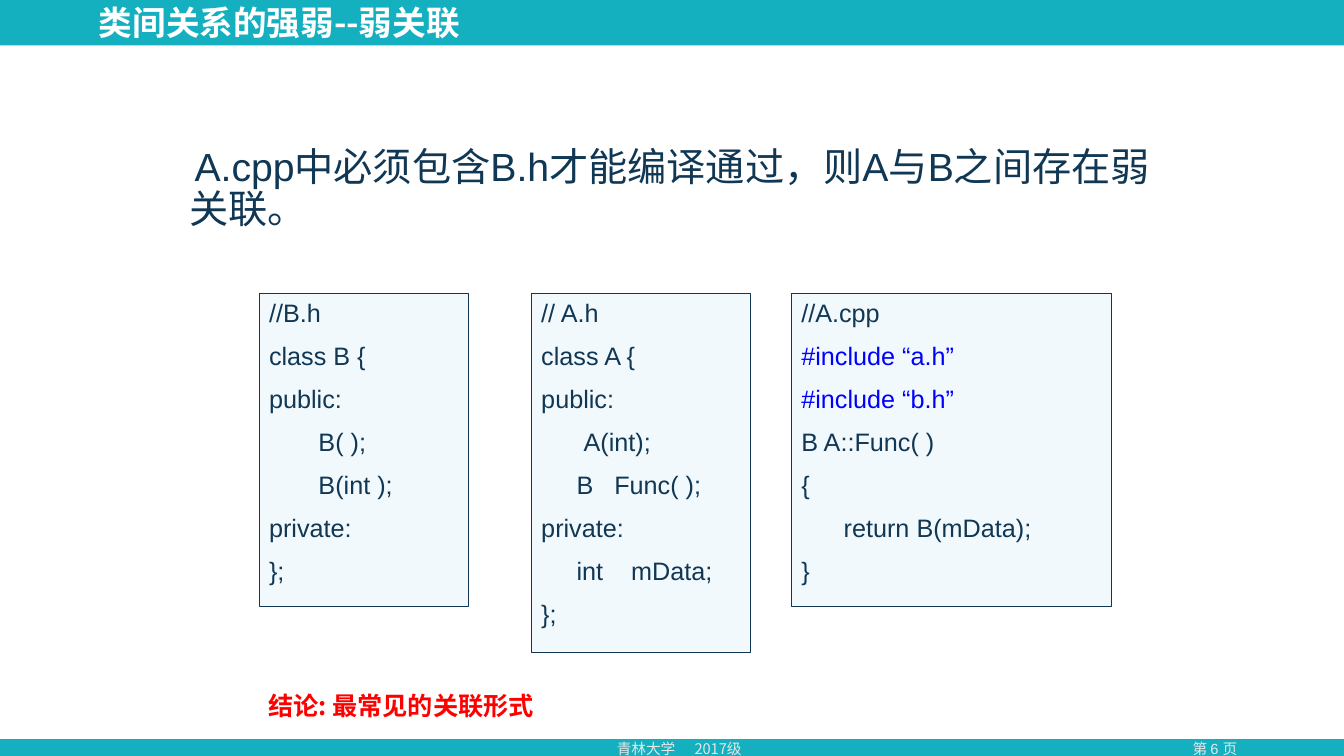
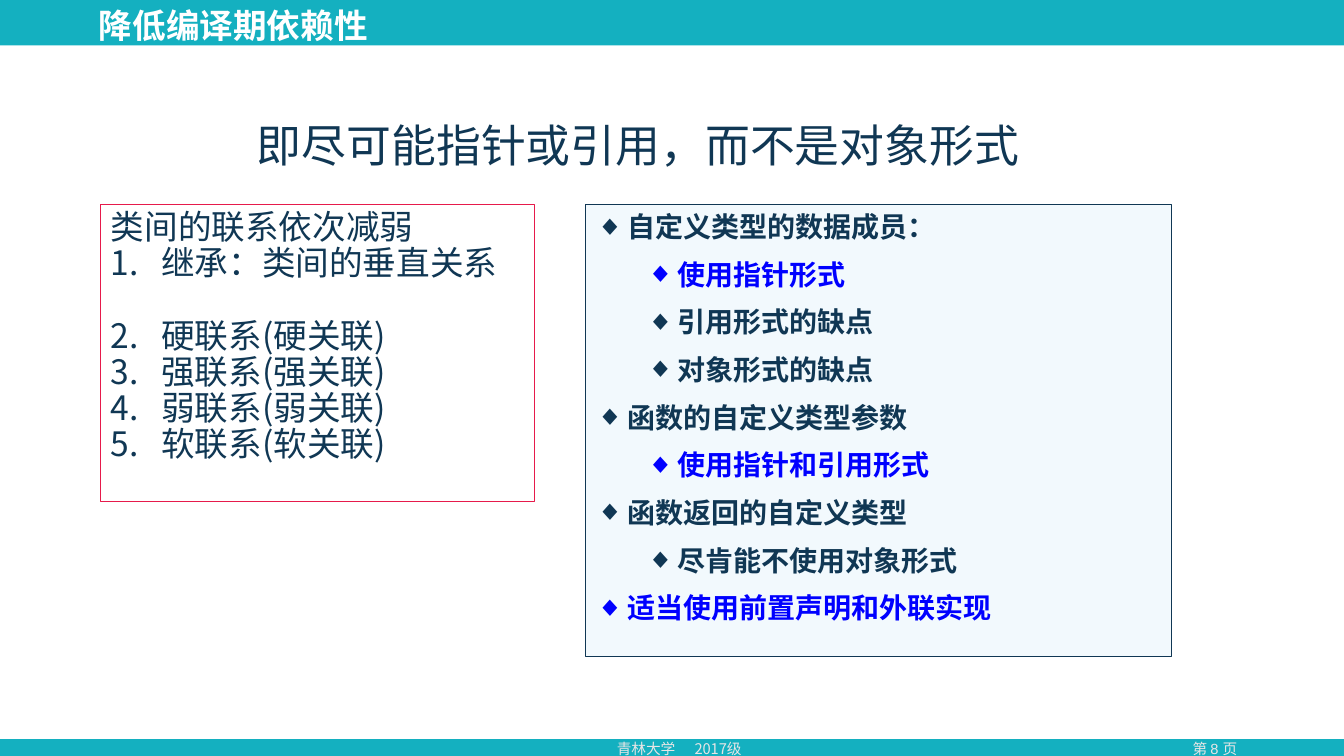
from dataclasses import dataclass

from lxml import etree
from pptx import Presentation
from pptx.dml.color import RGBColor
from pptx.enum.shapes import MSO_SHAPE
from pptx.enum.text import MSO_ANCHOR, MSO_AUTO_SIZE, PP_ALIGN
from pptx.oxml.ns import qn
from pptx.util import Inches, Pt

RECTANGLE = MSO_SHAPE.RECTANGLE
TOP, MIDDLE = MSO_ANCHOR.TOP, MSO_ANCHOR.MIDDLE
LEFT, CENTER = PP_ALIGN.LEFT, PP_ALIGN.CENTER
NO_FIT = MSO_AUTO_SIZE.NONE


@dataclass(frozen=True)
class Theme:
    teal: RGBColor = RGBColor(0x14, 0xB0, 0xC0)
    white: RGBColor = RGBColor(0xFF, 0xFF, 0xFF)
    footer: RGBColor = RGBColor(0xE7, 0xE6, 0xE6)
    ink: RGBColor = RGBColor(0x10, 0x37, 0x54)
    panel: RGBColor = RGBColor(0xF2, 0xF9, 0xFD)
    blue: RGBColor = RGBColor(0x00, 0x00, 0xFF)
    red: RGBColor = RGBColor(0xFF, 0x00, 0x00)
    crimson: RGBColor = RGBColor(0xE6, 0x1A, 0x4B)
    latin: str = "Arial"
    chinese: str = "Noto Sans CJK SC"
    footer_size: float = 10.5
    code_size: int = 18
    bullet_size: int = 20
    title_size: int = 24
    body_size: int = 28
    lead_size: int = 32
    leading: float = 1.2
    tight: float = 1.08
    border: float = 0.75


THEME = Theme()


def style_para(para, size, color, font=THEME.chinese, bold=False, leading=THEME.leading,
               before=0, margin=0, indent=0, bullet="buNone", **bullet_values):
    para.alignment = LEFT
    para.line_spacing = Pt(size * leading)
    para.space_before = Pt(before)
    properties = para._p.get_or_add_pPr()
    properties.set("marL", str(Inches(margin)))
    properties.set("indent", str(Inches(indent)))
    if bullet == "buChar":
        etree.SubElement(properties, qn("a:buFont"), typeface=THEME.latin)
    etree.SubElement(properties, qn("a:" + bullet), **bullet_values)
    for run in para.runs:
        run.font.size = Pt(size)
        run.font.bold = bold
        run.font.color.rgb = color
        run.font.name = font
        etree.SubElement(run.font._element, qn("a:ea"), typeface=THEME.chinese)


def add_label(page, text, place, size, color, **style):
    label = page.shapes.add_textbox(*map(Inches, place))
    label.text_frame.word_wrap = True
    label.text_frame.text = text
    style_para(label.text_frame.paragraphs[0], size, color, **style)
    return label


deck = Presentation()
deck.slide_width, deck.slide_height = Inches(13.33), Inches(7.5)

pages = []
for layout, title, anchor, number in [
    (1, "类间关系的强弱--弱关联", MIDDLE, 6),
    (3, "降低编译期依赖性", TOP, 8),
]:
    page = deck.slides.add_slide(deck.slide_layouts[layout])
    pages.append(page)
    box = page.shapes.title
    box.left, box.top, box.width, box.height = map(Inches, (0.88, 0.04, 7.68, 0.39))
    box.text_frame.text = title
    box.text_frame.vertical_anchor = anchor
    box.text_frame.auto_size = NO_FIT
    style_para(box.text_frame.paragraphs[0], THEME.title_size, THEME.white,
               bold=True, leading=THEME.tight)
    label = add_label(page, f"第 {number} 页", (11.32, 7.29, 1.46, 0.28),
                      THEME.footer_size, THEME.footer, font=THEME.latin)
    label.text_frame.paragraphs[0].alignment = CENTER

weak_page, dependency_page = pages

master_parts = []
for top, height, color in [(0, 7.5, THEME.teal), (0.45, 6.88, THEME.white)]:
    band = weak_page.shapes.add_shape(RECTANGLE, 0, Inches(top), deck.slide_width, Inches(height))
    band.shadow.inherit = False
    band.fill.solid()
    band.fill.fore_color.rgb = color
    band.line.fill.background()
    master_parts.append(band)
for text, left in [("青林大学", 6.02), ("2017级", 6.79)]:
    master_parts.append(add_label(weak_page, text, (left, 7.29, 1.07, 0.28),
                                  THEME.footer_size, THEME.footer))
master_tree = deck.slide_master.element.cSld.spTree
for index, part in enumerate(master_parts):
    part.element.nvSpPr.cNvPr.set("id", str(100 + index))
    master_tree.insert(2 + index, part.element)

body = weak_page.placeholders[1]
body.left, body.top, body.width, body.height = map(Inches, (1.53, 1.36, 10.27, 1.04))
body.text_frame.text = "A.cpp中必须包含B.h才能编译通过，则A与B之间存在弱关联。"
body.text_frame.auto_size = NO_FIT
body.text_frame.margin_top = Inches(0.1)
style_para(body.text_frame.paragraphs[0], THEME.body_size, THEME.ink, font=THEME.latin,
           leading=THEME.tight, margin=0.25, indent=0.05)

SPACE = 0.07
listings = [
    (2.57, 2.08, 3.11, [(0, "//B.h"), (0, "class B {"), (0, "public:"), (7, "B( );"),
                        (7, "B(int );"), (0, "private:"), (0, "};")]),
    (5.27, 2.17, 3.56, [(0, "// A.h"), (0, "class A {"), (0, "public:"), (6, "A(int);"),
                        (5, "B   Func( );"), (0, "private:"), (5, "int    mData;"), (0, "};")]),
    (7.85, 3.17, 3.11, [(0, "//A.cpp"), (0, "#include “a.h”"), (0, "#include “b.h”"),
                        (0, "B A::Func( )"), (0, "{"), (6, "return B(mData);"), (0, "}")]),
]
for left, width, height, lines in listings:
    box = weak_page.shapes.add_shape(RECTANGLE, *map(Inches, (left, 2.91, width, height)))
    box.shadow.inherit = False
    box.fill.solid()
    box.fill.fore_color.rgb = THEME.panel
    box.line.color.rgb = THEME.ink
    box.line.width = Pt(THEME.border)
    frame = box.text_frame
    frame.vertical_anchor = TOP
    frame.text = "\n".join(text for spaces, text in lines)
    for para, (spaces, text) in zip(frame.paragraphs, lines):
        color = THEME.blue if text.startswith("#include") else THEME.ink
        style_para(para, THEME.code_size, color, font=THEME.latin, leading=1.15,
                   before=10, margin=spaces * SPACE)

add_label(weak_page, "结论: 最常见的关联形式", (2.56, 6.8, 8.58, 0.4),
          THEME.code_size, THEME.red, bold=True)

add_label(dependency_page, "即尽可能指针或引用，而不是对象形式", (2.45, 1.12, 7.83, 0.64),
          THEME.lead_size, THEME.ink)

ranking, advice = dependency_page.placeholders[1], dependency_page.placeholders[2]
for box, place, color in [
    (ranking, (1, 2.03, 4.3, 2.95), THEME.crimson),
    (advice, (5.81, 2.03, 5.81, 4.48), THEME.ink),
]:
    box.left, box.top, box.width, box.height = map(Inches, place)
    box.line.color.rgb = color
    box.line.width = Pt(THEME.border)
    box.text_frame.auto_size = NO_FIT
advice.fill.solid()
advice.fill.fore_color.rgb = THEME.panel

ranks = ["继承：类间的垂直关系", "硬联系(硬关联)", "强联系(强关联)", "弱联系(弱关联)", "软联系(软关联)"]
ranking.text_frame.text = "\n".join(["类间的联系依次减弱"] + ranks)
heading, *rank_paras = ranking.text_frame.paragraphs
style_para(heading, THEME.title_size, THEME.ink, leading=THEME.tight)
for index, para in enumerate(rank_paras):
    style_para(para, THEME.title_size, THEME.ink, leading=THEME.tight,
               before=26 if index == 1 else 0, margin=0.5, indent=-0.5,
               bullet="buAutoNum", type="arabicPeriod")

points = [
    (0, "自定义类型的数据成员：", THEME.ink),
    (1, "使用指针形式", THEME.blue),
    (1, "引用形式的缺点", THEME.ink),
    (1, "对象形式的缺点", THEME.ink),
    (0, "函数的自定义类型参数", THEME.ink),
    (1, "使用指针和引用形式", THEME.blue),
    (0, "函数返回的自定义类型", THEME.ink),
    (1, "尽肯能不使用对象形式", THEME.ink),
    (0, "适当使用前置声明和外联实现", THEME.blue),
]
advice.text_frame.text = "\n".join(text for level, text, color in points)
for para, (level, text, color) in zip(advice.text_frame.paragraphs, points):
    para.level = level
    style_para(para, THEME.bullet_size, color, bold=True, before=10,
               margin=0.31 + 0.5 * level, indent=-0.31, bullet="buChar", char="◆")

deck.save("out.pptx")
